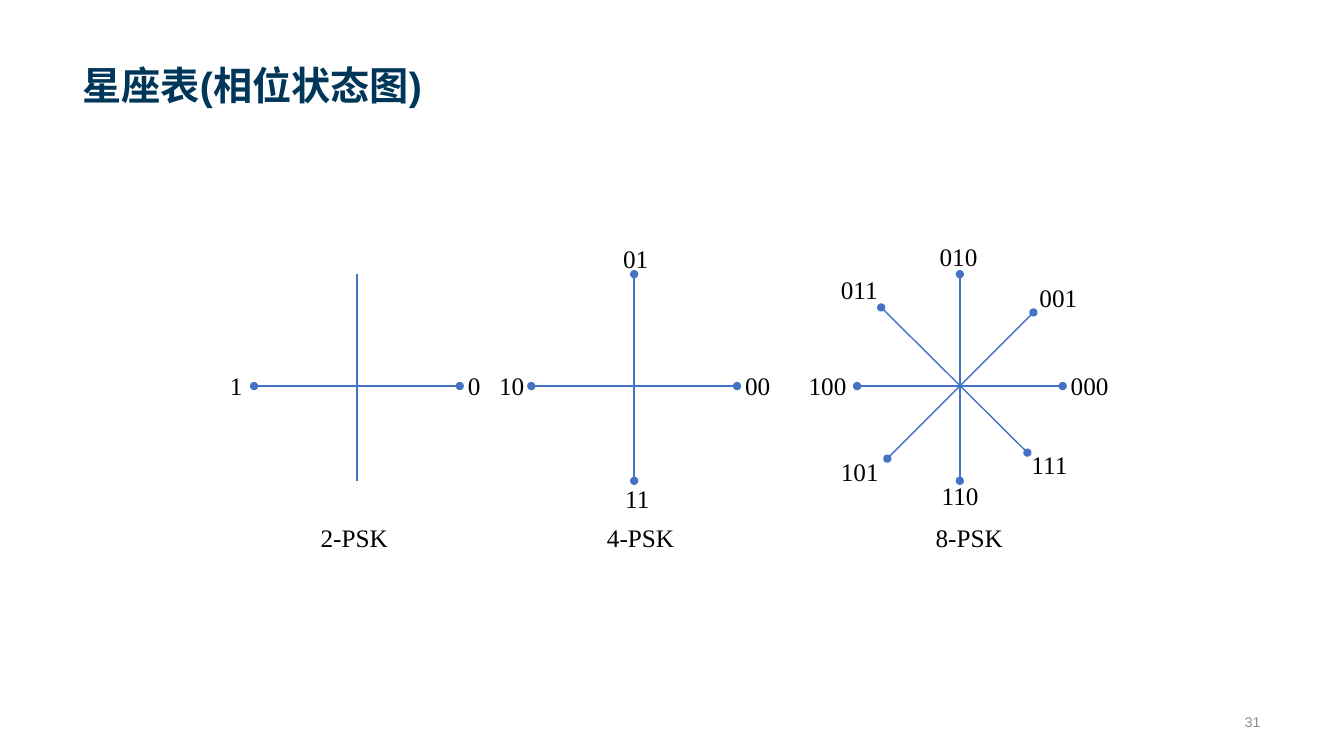
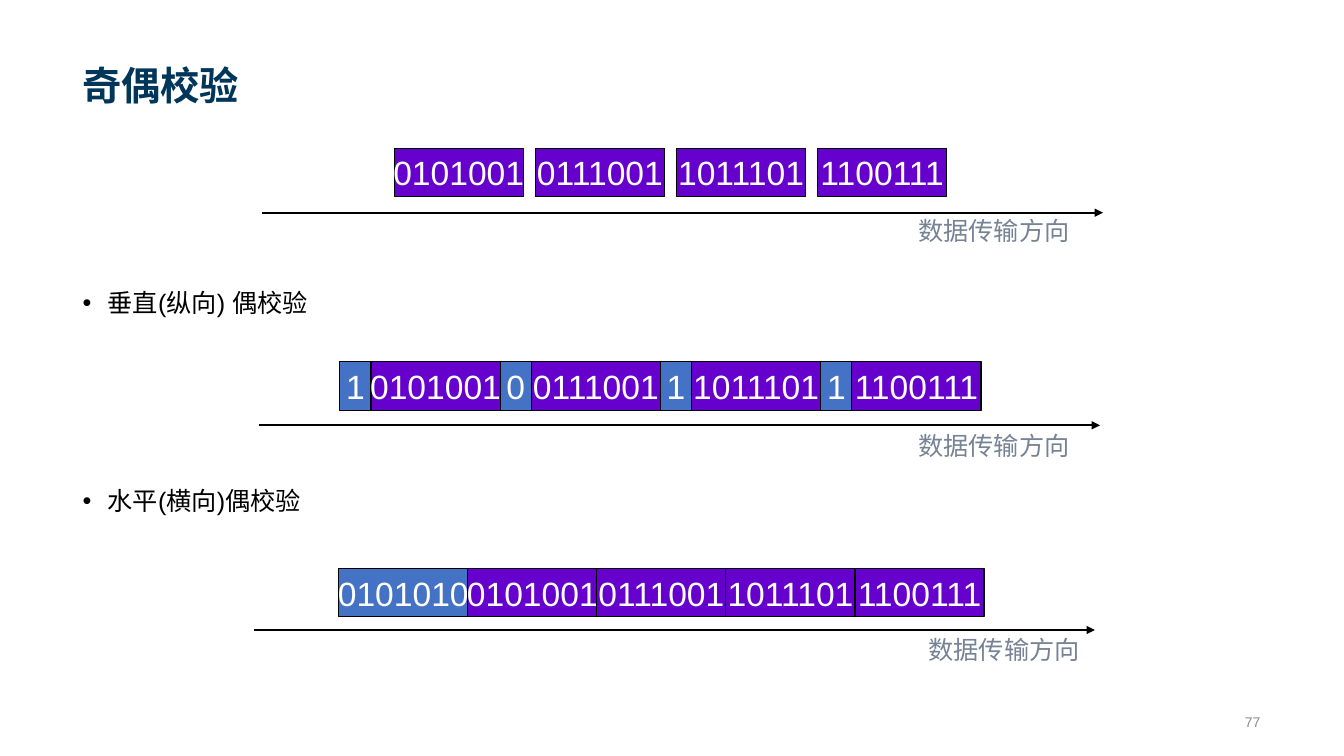
import pptx
import pptx.util
import pptx.dml.color
import pptx.enum.shapes
import pptx.enum.text
import pptx.oxml.ns
from lxml import etree

Inches, Pt = pptx.util.Inches, pptx.util.Pt
Align, Anchor = pptx.enum.text.PP_ALIGN, pptx.enum.text.MSO_ANCHOR
qn = pptx.oxml.ns.qn

COLORS = {
    "title": "003659", "page": "8C8C8C", "note": "768394", "ink": "000000",
    "white": "FFFFFF", "check": "4472C4", "data": "6600CC", "axis": "4472C4",
}


def tint(name):
    return pptx.dml.color.RGBColor.from_string(COLORS[name])


class Deck:
    def __init__(self):
        self.prs = pptx.Presentation()
        self.prs.slide_width = Inches(13.33)
        self.prs.slide_height = Inches(7.5)

    def page(self, title, num):
        self.slide = self.prs.slides.add_slide(self.prs.slide_layouts[6])
        self.text(0.72, 0.14, 11.88, 0.98, title, 28, "title",
                  bold=True, wrap=True, anchor=Anchor.BOTTOM)
        self.text(8.5, 7.01, 4.1, 0.3, str(num), 10, "page", wrap=True,
                  anchor=Anchor.MIDDLE, align=Align.RIGHT)

    def put(self, par, words, size, color, font="Arial", bold=False):
        """Add one styled run to a paragraph."""
        run = par.add_run()
        run.text = words
        run.font.name, run.font.size, run.font.bold = font, Pt(size), bold
        run.font.color.rgb = tint(color)

    def text(self, x, y, w, h, words, size, color, font="Arial", bold=False,
             wrap=False, inset=True, anchor=Anchor.TOP, align=Align.LEFT):
        box = self.slide.shapes.add_textbox(Inches(x), Inches(y), Inches(w), Inches(h))
        frame = box.text_frame
        frame.word_wrap, frame.vertical_anchor = wrap, anchor
        if not inset:
            frame.margin_left = frame.margin_right = 0
            frame.margin_top = frame.margin_bottom = 0
        par = frame.paragraphs[0]
        par.alignment = align
        self.put(par, words, size, color, font, bold)
        return par

    def label(self, x, y, words):
        wide = 0.67 if "PSK" in words else 0.125 * len(words)
        self.text(x, y, wide, 0.3, words, 18, "ink", "Times New Roman", inset=False)

    def bullet(self, y, words):
        par = self.text(0.72, y, 11.88, 0.69, words, 18, "ink", wrap=True)
        par.line_spacing = 1.2
        props = par._p.get_or_add_pPr()
        props.set("marL", str(Inches(0.25)))
        props.set("indent", str(Inches(-0.25)))
        etree.SubElement(props, qn("a:buFont")).set("typeface", "Arial")
        etree.SubElement(props, qn("a:buChar")).set("char", "•")

    def line(self, x1, y1, x2, y2, color, width, head=None, tail=None):
        link = self.slide.shapes.add_connector(
            pptx.enum.shapes.MSO_CONNECTOR.STRAIGHT,
            Inches(x1), Inches(y1), Inches(x2), Inches(y2))
        link.line.color.rgb = tint(color)
        link.line.width = Pt(width)
        stroke = link.line._get_or_add_ln()
        for tag, kind in (("a:headEnd", head), ("a:tailEnd", tail)):
            if kind:
                etree.SubElement(stroke, qn(tag)).set("type", kind)
        etree.SubElement(link._element.spPr, qn("a:effectLst"))

    def spoke(self, ends, dots=True):
        kind = "oval" if dots else None
        self.line(*ends, "axis", 1, kind, kind)

    def cell(self, x, y, w, bits, fill):
        box = self.slide.shapes.add_shape(
            pptx.enum.shapes.MSO_SHAPE.RECTANGLE,
            Inches(x), Inches(y), Inches(w), Inches(0.48))
        box.shadow.inherit = False
        box.fill.solid()
        box.fill.fore_color.rgb = tint(fill)
        box.line.color.rgb = tint("ink")
        box.line.width = Pt(0.75)
        frame = box.text_frame
        frame.word_wrap, frame.vertical_anchor = False, Anchor.MIDDLE
        par = frame.paragraphs[0]
        par.alignment = Align.CENTER
        self.put(par, bits, 24, "white")

    def row(self, x, y, cells, gap=0):
        """Set (bits, fill) cells side by side; a lone bit is narrow."""
        for bits, fill in cells:
            wide = 0.31 if len(bits) == 1 else 1.28
            self.cell(x, y, wide, bits, fill)
            x += wide + gap

    def flow(self, x, y, note_x, note_y):
        """Draw the arrow under a row, with its caption."""
        self.line(x, y, x + 8.34, y, "ink", 1.5, tail="triangle")
        self.text(note_x, note_y, 1.72, 0.4, "数据传输方向", 18, "note")


def psk(deck):
    deck.page("星座表(相位状态图)", 31)
    mid, arm, top, low = 3.83, 1.02, 2.72, 4.77
    # Each plot: centre, name offset, dots on the upright, labels by offset.
    plots = [
        (3.54, "2-PSK", -0.36, False, [("1", -1.26, 3.67), ("0", 1.1, 3.67)]),
        (6.29, "4-PSK", -0.27, True, [
            ("10", -1.34, 3.67), ("00", 1.1, 3.67),
            ("01", -0.11, 2.41), ("11", -0.09, 4.79)]),
        (9.52, "8-PSK", -0.24, True, [
            ("100", -1.5, 3.67), ("000", 1.1, 3.67),
            ("010", -0.2, 2.39), ("110", -0.18, 4.77),
            ("001", 0.79, 2.8), ("011", -1.18, 2.72),
            ("101", -1.18, 4.53), ("111", 0.71, 4.46)]),
    ]
    for hub, name, shift, dots, codes in plots:
        deck.label(hub + shift, 5.18, name)
        for code, dx, y in codes:
            deck.label(hub + dx, y, code)
        deck.spoke((hub - arm, mid, hub + arm, mid))
        deck.spoke((hub, low, hub, top), dots)
    for ends in ((8.8, 4.55, 10.25, 3.1), (10.19, 4.49, 8.74, 3.05)):
        deck.spoke(ends)


def parity(deck):
    deck.page("奇偶校验", 77)
    data = [(bits, "data") for bits in ("0101001", "0111001", "1011101", "1100111")]
    deck.row(3.91, 1.47, data, gap=0.12)
    deck.flow(2.6, 2.11, 9.01, 2.09)

    deck.bullet(2.74, "垂直(纵向) 偶校验")
    pairs = [cell for bit, word in zip("1011", data)
             for cell in ((bit, "check"), word)]
    deck.row(3.37, 3.59, pairs)
    deck.flow(2.57, 4.22, 9.01, 4.22)

    deck.bullet(4.71, "水平(横向)偶校验")
    deck.row(3.36, 5.64, [("0101010", "check")] + data)
    deck.flow(2.52, 6.25, 9.11, 6.24)


def main():
    deck = Deck()
    psk(deck)
    parity(deck)
    deck.prs.save("out.pptx")


if __name__ == "__main__":
    main()
